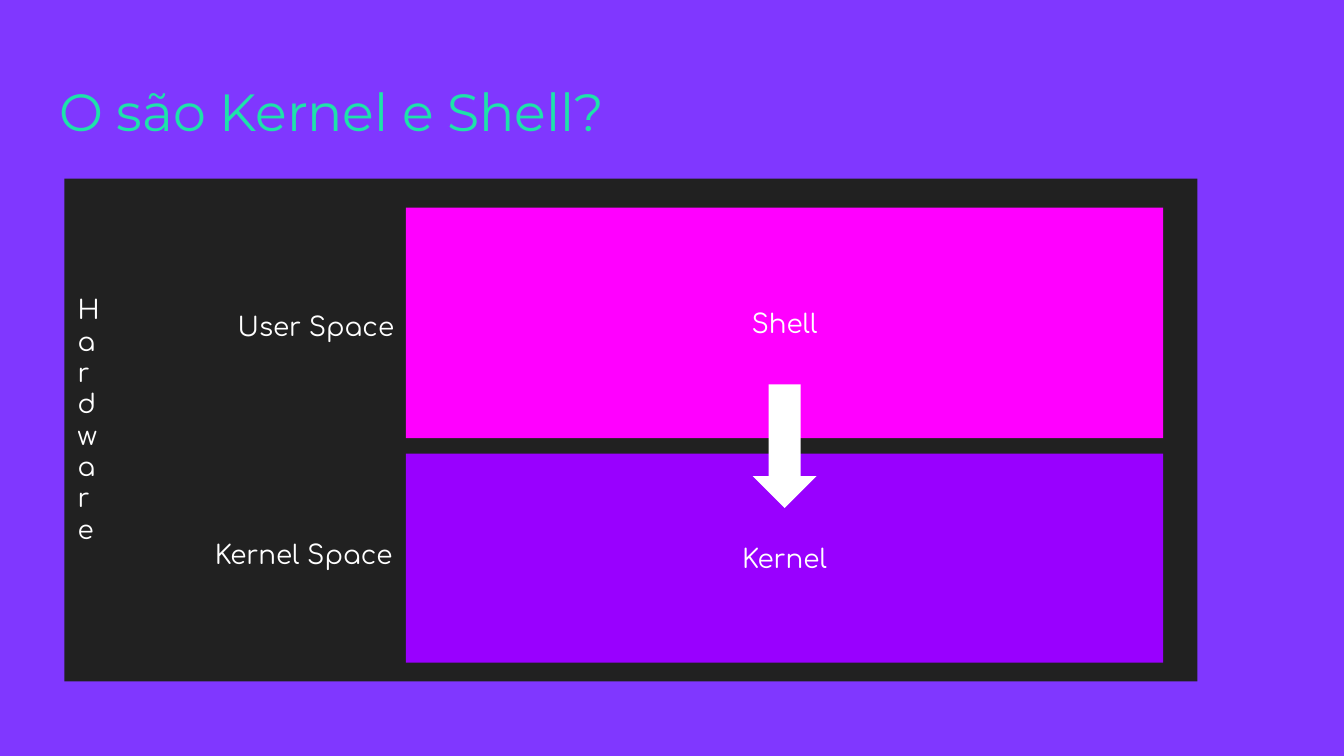
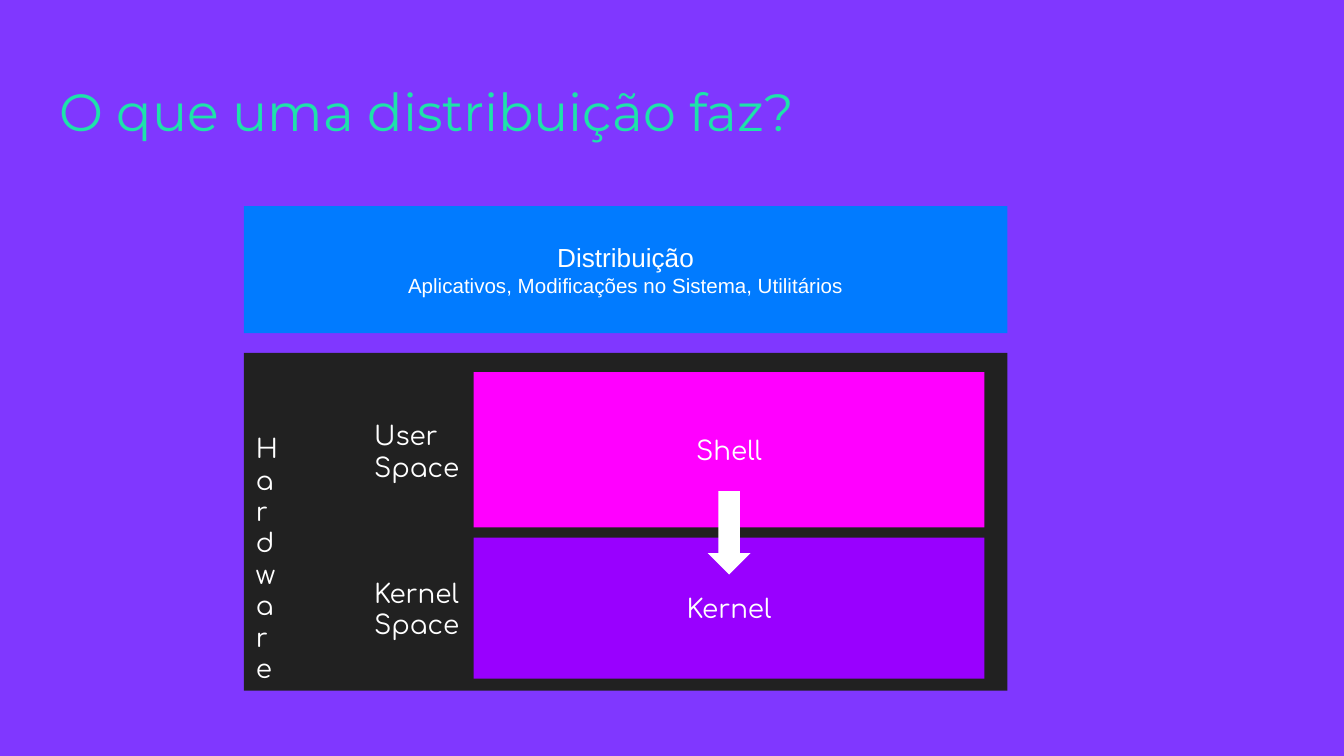
from pptx import Presentation
from pptx.dml.color import RGBColor
from pptx.enum.shapes import MSO_SHAPE as Shape
from pptx.enum.text import MSO_ANCHOR as Anchor, PP_ALIGN as Align
from pptx.util import Emu, Pt

PX = 4572
VIOLET = "8037FF"
MINT = "1EE2AA"
DARK = "212121"
PINK = "FF00FF"
PURPLE = "9900FF"
BLUE = "017BFF"
WHITE = "FFFFFF"


def px(*lengths):
    return [Emu(length * PX) for length in lengths]


def color(code):
    return RGBColor.from_string(code)


def write(box, text, sizes=(14,), font="Comfortaa", ink=WHITE,
          align=Align.LEFT, anchor=Anchor.TOP, inset=(20, 10, 20, 10)):
    frame = box.text_frame
    frame.word_wrap = True
    frame.vertical_anchor = anchor
    (frame.margin_left, frame.margin_top,
     frame.margin_right, frame.margin_bottom) = px(*inset)
    for index, line in enumerate(text.split("\n")):
        para = frame.add_paragraph() if index else frame.paragraphs[0]
        para.alignment = align
        span = para.add_run()
        span.text = line
        span.font.name = font
        span.font.size = Pt(sizes[min(index, len(sizes) - 1)])
        span.font.color.rgb = color(ink)


class Slides:
    def __init__(self):
        self.deck = Presentation()
        self.deck.slide_width, self.deck.slide_height = px(2000, 1125)
        self.page = None
        self.shapes = None

    def new_page(self, title):
        self.page = self.deck.slides.add_slide(self.deck.slide_layouts[6])
        self.shapes = self.page.shapes
        fill = self.page.background.fill
        fill.solid()
        fill.fore_color.rgb = color(VIOLET)
        self.label((69, 98, 1864, 126), title, sizes=(28,), font="Montserrat",
                   ink=MINT, inset=(20, 20, 20, 20))

    def start_group(self):
        self.shapes = self.page.shapes.add_group_shape().shapes

    def end_group(self):
        self.shapes = self.page.shapes

    def label(self, area, text, **style):
        write(self.shapes.add_textbox(*px(*area)), text, **style)

    def block(self, area, fill, text="", kind=Shape.RECTANGLE, **style):
        box = self.shapes.add_shape(kind, *px(*area))
        box.shadow.inherit = False
        box.fill.solid()
        box.fill.fore_color.rgb = color(fill)
        box.line.fill.background()
        if text:
            write(box, text, align=Align.CENTER, anchor=Anchor.MIDDLE, **style)

    def system(self, hardware, shell, kernel, arrow, user_label, user_text,
               kernel_label, hardware_label):
        self.block(hardware, DARK)
        self.block(shell, PINK, "Shell")
        self.block(kernel, PURPLE, "Kernel")
        self.block(arrow, WHITE, kind=Shape.DOWN_ARROW)
        self.label(user_label, user_text)
        self.label(kernel_label, "Kernel Space")
        self.label(hardware_label, "Hardware", inset=(20, 10, 0, 10))


def main():
    slides = Slides()

    slides.new_page("O são Kernel e Shell?")
    slides.system(
        hardware=(96, 266, 1686, 748),
        shell=(604, 309, 1127, 343),
        kernel=(604, 675, 1127, 311),
        arrow=(1120, 572, 95, 184),
        user_label=(334, 452, 440, 68),
        user_text="User Space",
        kernel_label=(300, 791, 400, 68),
        hardware_label=(96, 427, 56, 398),
    )

    slides.new_page("O que uma distribuição faz?")
    slides.start_group()
    slides.system(
        hardware=(363, 525, 1136, 503),
        shell=(705, 554, 760, 231),
        kernel=(705, 800, 760, 210),
        arrow=(1053, 731, 64, 124),
        user_label=(537, 615, 296, 114),
        user_text="User\nSpace",
        kernel_label=(537, 849, 270, 46),
        hardware_label=(361, 634, 38, 268),
    )
    slides.end_group()
    slides.block((363, 307, 1136, 189), BLUE,
                 "Distribuição\nAplicativos, Modificações no Sistema, Utilitários",
                 sizes=(14, 11), font="Arial")

    slides.deck.save("out.pptx")


if __name__ == "__main__":
    main()
